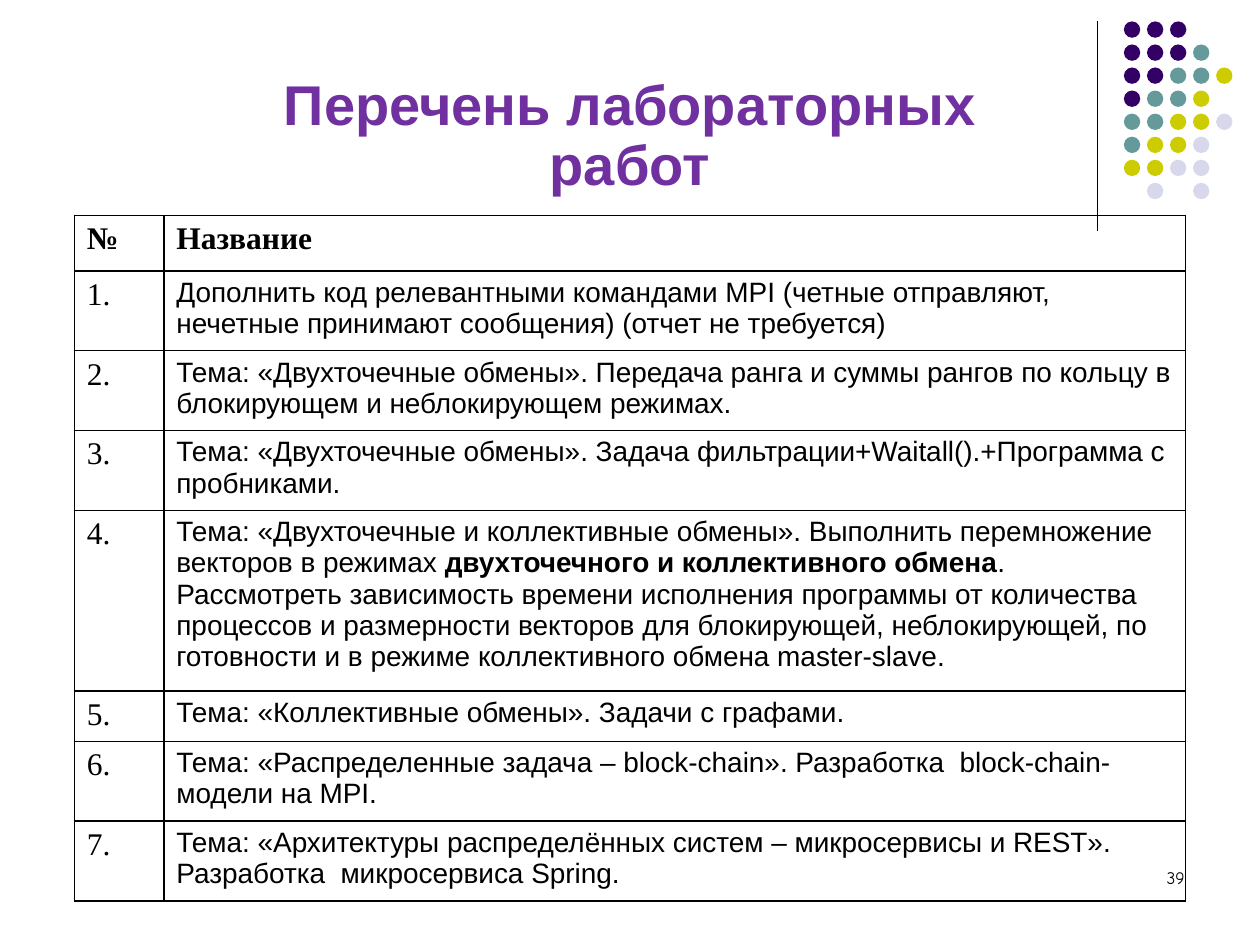
"""Build the slide that lists the laboratory works in a numbered table."""
from dataclasses import dataclass

from lxml import etree
from pptx import Presentation
from pptx.dml.color import RGBColor
from pptx.enum.shapes import MSO_CONNECTOR, MSO_SHAPE
from pptx.enum.text import MSO_ANCHOR, MSO_AUTO_SIZE, PP_ALIGN
from pptx.oxml.ns import qn
from pptx.util import Inches, Pt

STRAIGHT = MSO_CONNECTOR.STRAIGHT
ELLIPSE = MSO_SHAPE.OVAL
BOTTOM = MSO_ANCHOR.BOTTOM
NO_AUTOFIT = MSO_AUTO_SIZE.NONE
CENTER = PP_ALIGN.CENTER
RIGHT = PP_ALIGN.RIGHT
TITLE_ONLY = 5


@dataclass(frozen=True)
class Theme:
    """Fonts, type sizes and colours of the slide."""
    body_font: str = "Arial"
    number_font: str = "Times New Roman"
    page_font: str = "Comic Neue"
    title_size: int = 32
    number_size: int = 18
    body_size: int = 16
    page_size: int = 10
    ink: str = "000000"
    title: str = "7030A0"
    violet: str = "330066"
    teal: str = "669999"
    lime: str = "CCCC00"
    pale: str = "D8D8EC"


THEME = Theme()
DOT_COLORS = {"V": THEME.violet, "T": THEME.teal, "L": THEME.lime, "P": THEME.pale}
DOT_ROWS = ["VVV", "VVVT", "VVTTL", "VTTL", "TTLLP", "TLLP", "LLPP", " P P"]
DOT_LEFT, DOT_TOP, DOT_PITCH, DOT_SIZE = 8.92, 0.17, 0.183, 0.13

TABLE_LEFT, TABLE_TOP = 0.59, 1.71
COLUMN_WIDTHS = [0.71, 8.11]
ROW_HEIGHTS = [0.44, 0.63, 0.63, 0.63, 1.43, 0.4, 0.63, 0.63]
BOLD_PHRASE = "двухточечного и коллективного обмена"
WORKS = [
    "Дополнить код релевантными командами MPI (четные отправляют, нечетные "
    "принимают сообщения) (отчет не требуется)",
    "Тема: «Двухточечные обмены». Передача ранга и суммы рангов по кольцу в "
    "блокирующем и неблокирующем режимах.",
    "Тема: «Двухточечные обмены». Задача фильтрации+Waitall().+Программа с пробниками.",
    "Тема: «Двухточечные и коллективные обмены». Выполнить перемножение векторов "
    f"в режимах {BOLD_PHRASE}. Рассмотреть зависимость времени исполнения программы "
    "от количества процессов и размерности векторов для блокирующей, неблокирующей, "
    "по готовности и в режиме коллективного обмена master-slave.",
    "Тема: «Коллективные обмены». Задачи с графами.",
    "Тема: «Распределенные задача – block-chain». Разработка  block-chain-модели на MPI.",
    "Тема: «Архитектуры распределённых систем – микросервисы и REST». "
    "Разработка  микросервиса Spring.",
]


def box(left, top, width, height):
    """Return a position and size in inches as slide lengths."""
    return [Inches(value) for value in (left, top, width, height)]


def format_run(run, font, size, color=THEME.ink, bold=False):
    """Give a run its font, size, colour and weight."""
    run.font.name = font
    run.font.size = Pt(size)
    run.font.bold = bold
    run.font.color.rgb = RGBColor.from_string(color)


def add_title(slide, text):
    """Place the title above the table."""
    title = slide.shapes.title
    title.left, title.top, title.width, title.height = box(1.67, 0.6, 6.66, 1.02)
    frame = title.text_frame
    frame.text = text
    frame.word_wrap = True
    frame.auto_size = NO_AUTOFIT
    frame.vertical_anchor = BOTTOM
    paragraph = frame.paragraphs[0]
    paragraph.alignment = CENTER
    paragraph.line_spacing = 0.9
    format_run(paragraph.runs[0], THEME.body_font, THEME.title_size, THEME.title, True)


def add_rule(slide):
    """Draw the vertical line beside the dots."""
    rule = slide.shapes.add_connector(
        STRAIGHT, Inches(8.71), Inches(0.17), Inches(8.71), Inches(1.83))
    rule.line.color.rgb = RGBColor.from_string(THEME.ink)
    rule.line.width = Pt(0.75)
    etree.SubElement(rule._element.spPr, qn("a:effectLst"))


def add_dots(slide):
    """Draw the grid of coloured dots in the corner."""
    for row, codes in enumerate(DOT_ROWS):
        for column, code in enumerate(codes):
            if code not in DOT_COLORS:
                continue
            dot = slide.shapes.add_shape(ELLIPSE, *box(
                DOT_LEFT + column * DOT_PITCH, DOT_TOP + row * DOT_PITCH,
                DOT_SIZE, DOT_SIZE))
            dot.fill.solid()
            dot.fill.fore_color.rgb = RGBColor.from_string(DOT_COLORS[code])
            dot.line.fill.background()
            dot.shadow.inherit = False


def add_page_number(slide, text):
    """Write the page number in the lower right corner."""
    frame = slide.shapes.add_textbox(*box(7.17, 6.83, 2.33, 0.5)).text_frame
    frame.word_wrap = True
    frame.text = text
    paragraph = frame.paragraphs[0]
    paragraph.alignment = RIGHT
    format_run(paragraph.runs[0], THEME.page_font, THEME.page_size)


def style_cell(cell):
    """Give a cell thin borders and no fill."""
    properties = cell._tc.get_or_add_tcPr()
    for side in ("a:lnL", "a:lnR", "a:lnT", "a:lnB"):
        border = etree.SubElement(properties, qn(side), w=str(Pt(1)))
        fill = etree.SubElement(border, qn("a:solidFill"))
        etree.SubElement(fill, qn("a:srgbClr"), val=THEME.ink)
    cell.fill.background()


def fill_cell(cell, text, font, size, bold=False):
    """Write a cell and set its key phrase in bold."""
    style_cell(cell)
    paragraph = cell.text_frame.paragraphs[0]
    before, phrase, after = text.partition(BOLD_PHRASE)
    for part, weight in ((before, bold), (phrase, True), (after, bold)):
        if part:
            run = paragraph.add_run()
            run.text = part
            format_run(run, font, size, bold=weight)


def add_works_table(slide):
    """Add the table of numbered works under its header."""
    table = slide.shapes.add_table(
        len(ROW_HEIGHTS), len(COLUMN_WIDTHS),
        *box(TABLE_LEFT, TABLE_TOP, sum(COLUMN_WIDTHS), sum(ROW_HEIGHTS))).table
    table.first_row = table.horz_banding = False
    for column, width in zip(table.columns, COLUMN_WIDTHS):
        column.width = Inches(width)
    for row, height in zip(table.rows, ROW_HEIGHTS):
        row.height = Inches(height)
    for column, heading in enumerate(("№", "Название")):
        fill_cell(table.cell(0, column), heading, THEME.number_font, THEME.number_size, True)
    for number, work in enumerate(WORKS, start=1):
        fill_cell(table.cell(number, 0), f"{number}.", THEME.number_font, THEME.number_size)
        fill_cell(table.cell(number, 1), work, THEME.body_font, THEME.body_size)


def main():
    """Build and save the presentation."""
    presentation = Presentation()
    presentation.slide_width, presentation.slide_height = Inches(10), Inches(7.5)
    slide = presentation.slides.add_slide(presentation.slide_layouts[TITLE_ONLY])
    add_rule(slide)
    add_dots(slide)
    add_page_number(slide, "39")
    add_works_table(slide)
    add_title(slide, "Перечень лабораторных работ")
    presentation.save("out.pptx")


if __name__ == "__main__":
    main()
